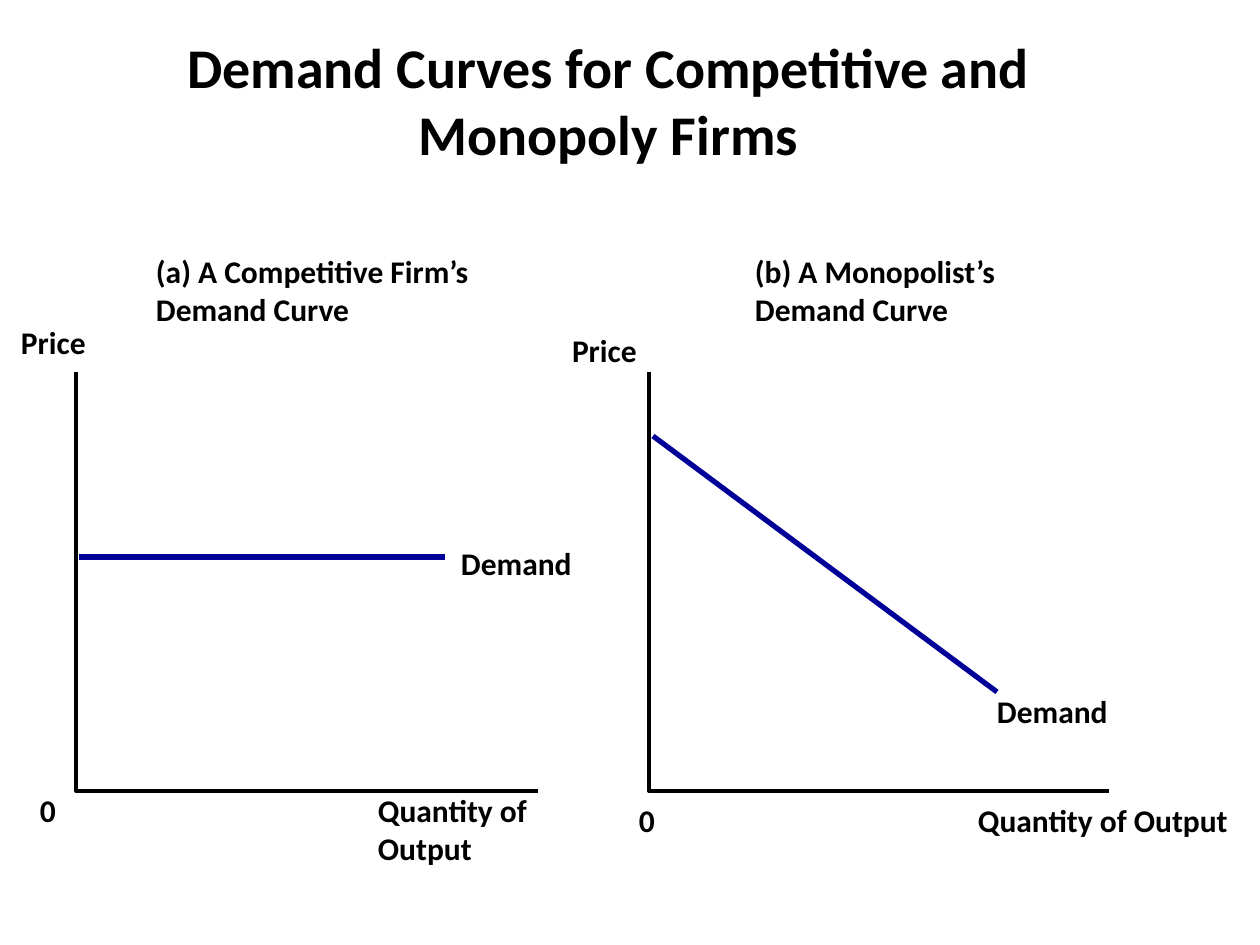
from pptx import Presentation
from pptx.util import Emu, Pt
from pptx.dml.color import RGBColor
from pptx.enum.shapes import MSO_CONNECTOR
from pptx.enum.text import MSO_ANCHOR, PP_ALIGN
from pptx.oxml.ns import qn
from lxml.etree import SubElement

BLACK = RGBColor(0, 0, 0)
NAVY = RGBColor(0, 0, 0x99)
SCALE = 914400 / 126


def px(*vals):
    """Turn pixels into EMU."""
    return [Emu(round(v * SCALE)) for v in vals]


def write(frame, lines, size=18, align=PP_ALIGN.LEFT, wrap=False):
    """Fill a text frame, one paragraph for each line."""
    frame.word_wrap = wrap
    for i, line in enumerate(lines):
        para = frame.paragraphs[0] if i == 0 else frame.add_paragraph()
        para.alignment = align
        run = para.add_run()
        run.text = line
        font = run.font
        font.name, font.size, font.bold = "Calibri", Pt(size), True
        font.color.rgb = BLACK


def label(slide, box, *lines, wrap=False):
    """Place a text box without margins."""
    frame = slide.shapes.add_textbox(*px(*box)).text_frame
    frame.margin_left = frame.margin_right = 0
    frame.margin_top = frame.margin_bottom = 0
    write(frame, lines, wrap=wrap)


def axes(slide, x, y, width, height):
    """Draw the price and quantity axes as one open line."""
    pen = slide.shapes.build_freeform(*px(x, y), scale=1.0)
    pen.add_line_segments([px(x, y + height), px(x + width, y + height)], close=False)
    shape = pen.convert_to_shape()
    shape.shadow.inherit = False
    shape.fill.background()
    shape.line.color.rgb = BLACK
    shape.line.width = Pt(2.25)


def curve(slide, start, end):
    """Draw a demand curve."""
    line = slide.shapes.add_connector(MSO_CONNECTOR.STRAIGHT, *px(*start, *end))
    line.line.color.rgb = NAVY
    line.line.width = Pt(3)
    SubElement(line._element.spPr, qn("a:effectLst"))


def panel(slide, box, head, shift, price, zero, goods, start, end, tag):
    """Build one graph, with its parts relative to the axes box."""
    x, y, width, height = box
    base = y + height
    axes(slide, *box)
    curve(slide, (x + start[0], y + start[1]), (x + end[0], y + end[1]))
    label(slide, (x + shift, y - 120, 390, 76), *head)
    label(slide, (x + price[0], y + price[1], 79, 38), "Price")
    label(slide, (x + zero[0], base + zero[1], 20, 38), "0")
    label(slide, (x + goods[0], base + zero[1], goods[1], 76),
          "Quantity of Output", wrap=True)
    label(slide, (x + tag[0], y + tag[1], 146, 42), "Demand")


def heading(slide, box, text):
    """Place the slide title."""
    title = slide.shapes.title
    title.left, title.top, title.width, title.height = px(*box)
    title.text_frame.vertical_anchor = MSO_ANCHOR.MIDDLE
    write(title.text_frame, [text], size=32, align=PP_ALIGN.CENTER, wrap=True)


deck = Presentation()
deck.slide_width, deck.slide_height = px(1260, 945)
page = deck.slides.add_slide(deck.slide_layouts[5])
heading(page, (73, 21, 1071, 158), "Demand Curves for Competitive and Monopoly Firms")
panel(page, (76, 372, 462, 419), ("(a) A Competitive Firm’s", "Demand Curve"), 80,
      price=(-55, -49), zero=(-36, 0), goods=(302, 242),
      start=(3, 185), end=(369, 185), tag=(385, 172))
panel(page, (649, 372, 460, 419), ("(b) A Monopolist’s", "Demand Curve"), 106,
      price=(-77, -41), zero=(-10, 10), goods=(329, 251),
      start=(4, 64), end=(348, 320), tag=(348, 320))
deck.save("out.pptx")
